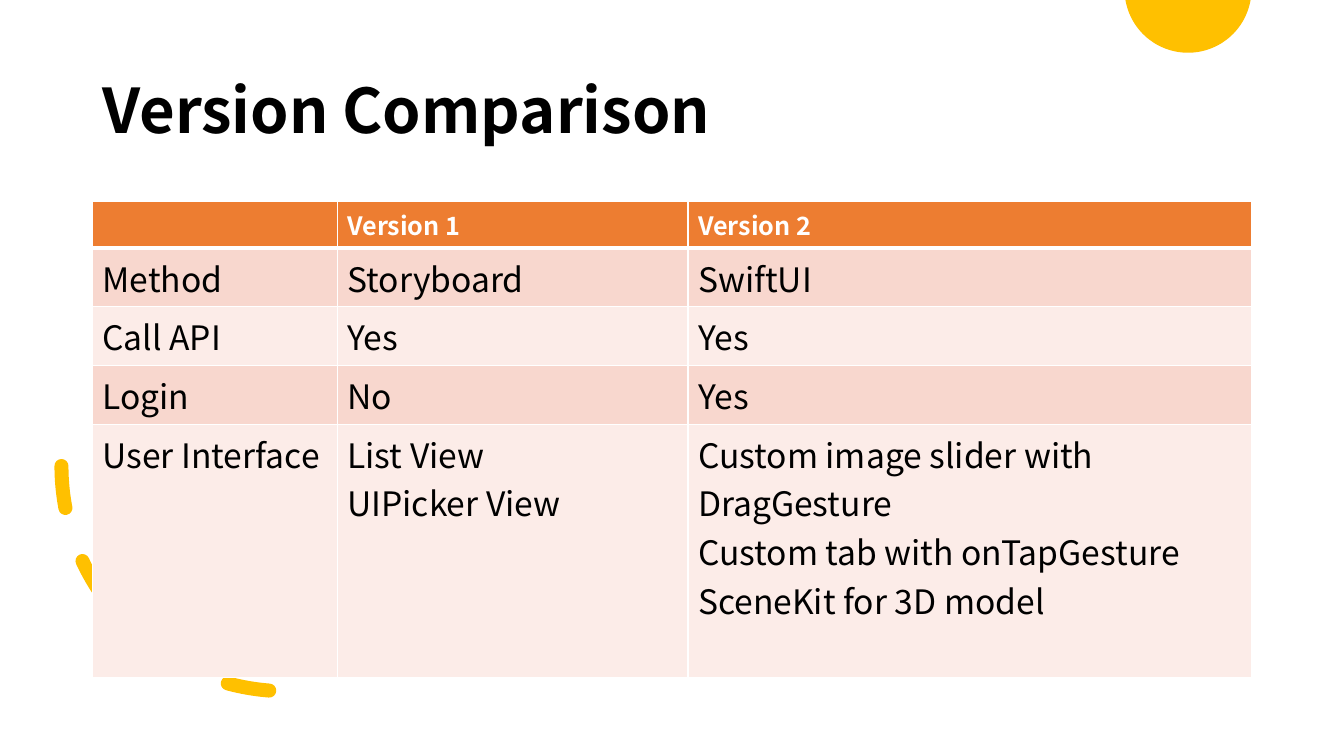
from dataclasses import dataclass
from math import asin, cos, pi, sin

from lxml import etree
from pptx import Presentation
from pptx.dml.color import RGBColor
from pptx.enum.dml import MSO_LINE
from pptx.enum.shapes import MSO_SHAPE
from pptx.enum.text import MSO_ANCHOR, PP_ALIGN
from pptx.oxml.ns import qn
from pptx.util import Cm, Pt

ARC = MSO_SHAPE.ARC
DASH = MSO_LINE.DASH
MIDDLE = MSO_ANCHOR.MIDDLE
LEFT = PP_ALIGN.LEFT
BLANK_LAYOUT = 6


@dataclass(frozen=True)
class Theme:
    font: str = "Noto Sans CJK SC"
    ink: str = "000000"
    paper: str = "FFFFFF"
    accent: str = "FFC000"
    header: str = "ED7D31"
    bands: tuple = ("F8D7CE", "FCECE8")
    title_size: int = 44
    header_size: int = 18
    body_size: int = 24
    grid_width: int = 1
    header_rule_width: int = 3
    arc_width: int = 10


def write(frame, text, size, color, font, bold=False, spacing=None):
    for index, line in enumerate(text.split("\n")):
        paragraph = frame.add_paragraph() if index else frame.paragraphs[0]
        paragraph.alignment = LEFT
        paragraph.line_spacing = spacing
        paragraph.font.size = Pt(size)
        if not line:
            continue
        run = paragraph.add_run()
        run.text = line
        run.font.name = font
        run.font.size = Pt(size)
        run.font.bold = bold
        run.font.color.rgb = RGBColor.from_string(color)


class ComparisonSlide:
    def __init__(self, deck, theme):
        self.theme = theme
        self.slide = deck.slides.add_slide(deck.slide_layouts[BLANK_LAYOUT])

    def sun(self, center_x, center_y, radius, steps=60):
        start = asin(-center_y / radius)
        angles = [start + (pi - 2 * start) * step / steps for step in range(steps + 1)]
        rim = [
            (Cm(center_x + radius * cos(angle)), Cm(center_y + radius * sin(angle)))
            for angle in angles
        ]
        builder = self.slide.shapes.build_freeform(*rim[0])
        builder.add_line_segments(rim[1:], close=True)
        sun = builder.convert_to_shape()
        sun.shadow.inherit = False
        sun.fill.solid()
        sun.fill.fore_color.rgb = RGBColor.from_string(self.theme.accent)
        sun.line.fill.background()

    def title(self, text, left, top, width, height):
        box = self.slide.shapes.add_textbox(Cm(left), Cm(top), Cm(width), Cm(height))
        frame = box.text_frame
        frame.word_wrap = True
        frame.vertical_anchor = MIDDLE
        write(frame, text, self.theme.title_size, self.theme.ink, self.theme.font,
              bold=True, spacing=0.9)

    def dashed_arc(self, left, top, diameter):
        arc = self.slide.shapes.add_shape(ARC, Cm(left), Cm(top), Cm(diameter), Cm(diameter))
        arc.rotation = 90
        arc._element.spPr.find(qn("a:xfrm")).set("flipV", "1")
        arc.shadow.inherit = False
        arc.fill.background()
        arc.line.color.rgb = RGBColor.from_string(self.theme.accent)
        arc.line.width = Pt(self.theme.arc_width)
        arc.line.dash_style = DASH
        arc._element.spPr.find(qn("a:ln")).set("cap", "rnd")

    def border(self, cell, side, width):
        properties = cell._tc.get_or_add_tcPr()
        line = etree.SubElement(properties, qn(f"a:ln{side}"), w=str(Pt(width)))
        fill = etree.SubElement(line, qn("a:solidFill"))
        etree.SubElement(fill, qn("a:srgbClr"), val=self.theme.paper)

    def table(self, rows, left, top, widths, heights):
        theme = self.theme
        table = self.slide.shapes.add_table(
            len(rows), len(widths), Cm(left), Cm(top), Cm(sum(widths)), Cm(sum(heights))
        ).table
        table.horz_banding = False
        for column, width in zip(table.columns, widths):
            column.width = Cm(width)
        for row, height in zip(table.rows, heights):
            row.height = Cm(height)
        for row_index, row in enumerate(rows):
            is_header = row_index == 0
            background = theme.header if is_header else theme.bands[(row_index - 1) % 2]
            size = theme.header_size if is_header else theme.body_size
            color = theme.paper if is_header else theme.ink
            rules = {side: theme.grid_width for side in "LRTB"}
            if row_index < 2:
                rules["B" if is_header else "T"] = theme.header_rule_width
            for column_index, text in enumerate(row):
                cell = table.cell(row_index, column_index)
                for side, width in rules.items():
                    self.border(cell, side, width)
                cell.fill.solid()
                cell.fill.fore_color.rgb = RGBColor.from_string(background)
                write(cell.text_frame, text, size, color, theme.font, bold=is_header)


def main():
    deck = Presentation()
    deck.slide_width = Cm(33.87)
    deck.slide_height = Cm(19.05)

    page = ComparisonSlide(deck, Theme())
    page.sun(center_x=29.94, center_y=-0.27, radius=1.6)
    page.title("Version Comparison", 2.33, 1.01, 29.21, 3.68)
    page.dashed_arc(1.55, 6.07, 11.35)

    comparison = [
        ("", "Version 1", "Version 2"),
        ("Method", "Storyboard", "SwiftUI"),
        ("Call API", "Yes", "Yes"),
        ("Login", "No", "Yes"),
        (
            "User Interface",
            "List View\nUIPicker View",
            "Custom image slider with DragGesture\n"
            "Custom tab with onTapGesture\n"
            "SceneKit for 3D model",
        ),
    ]
    page.table(
        comparison,
        left=2.33,
        top=5.08,
        widths=(6.17, 8.84, 14.2),
        heights=(1.17, *[1.48] * 3, 6.38),
    )
    deck.save("out.pptx")


if __name__ == "__main__":
    main()
